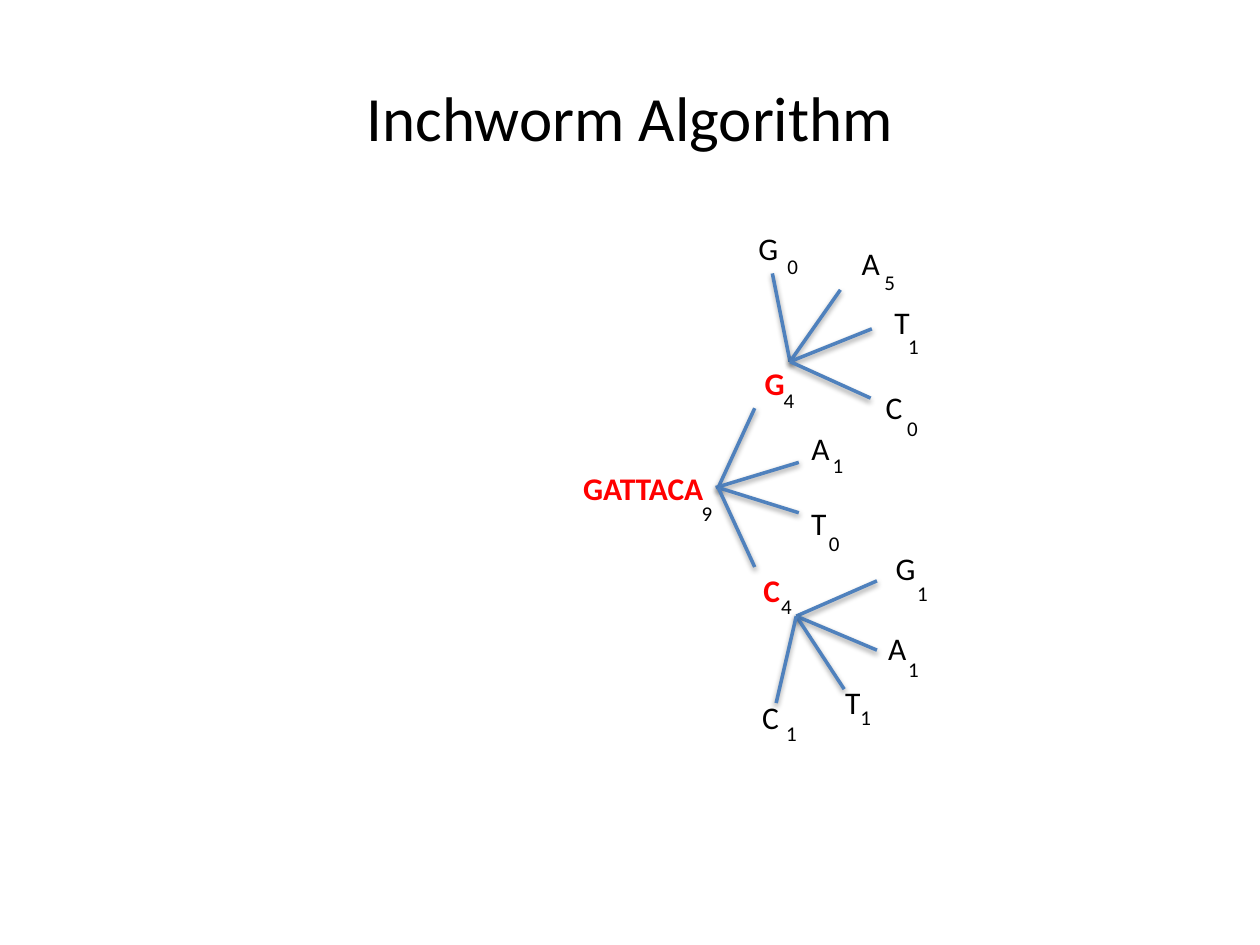
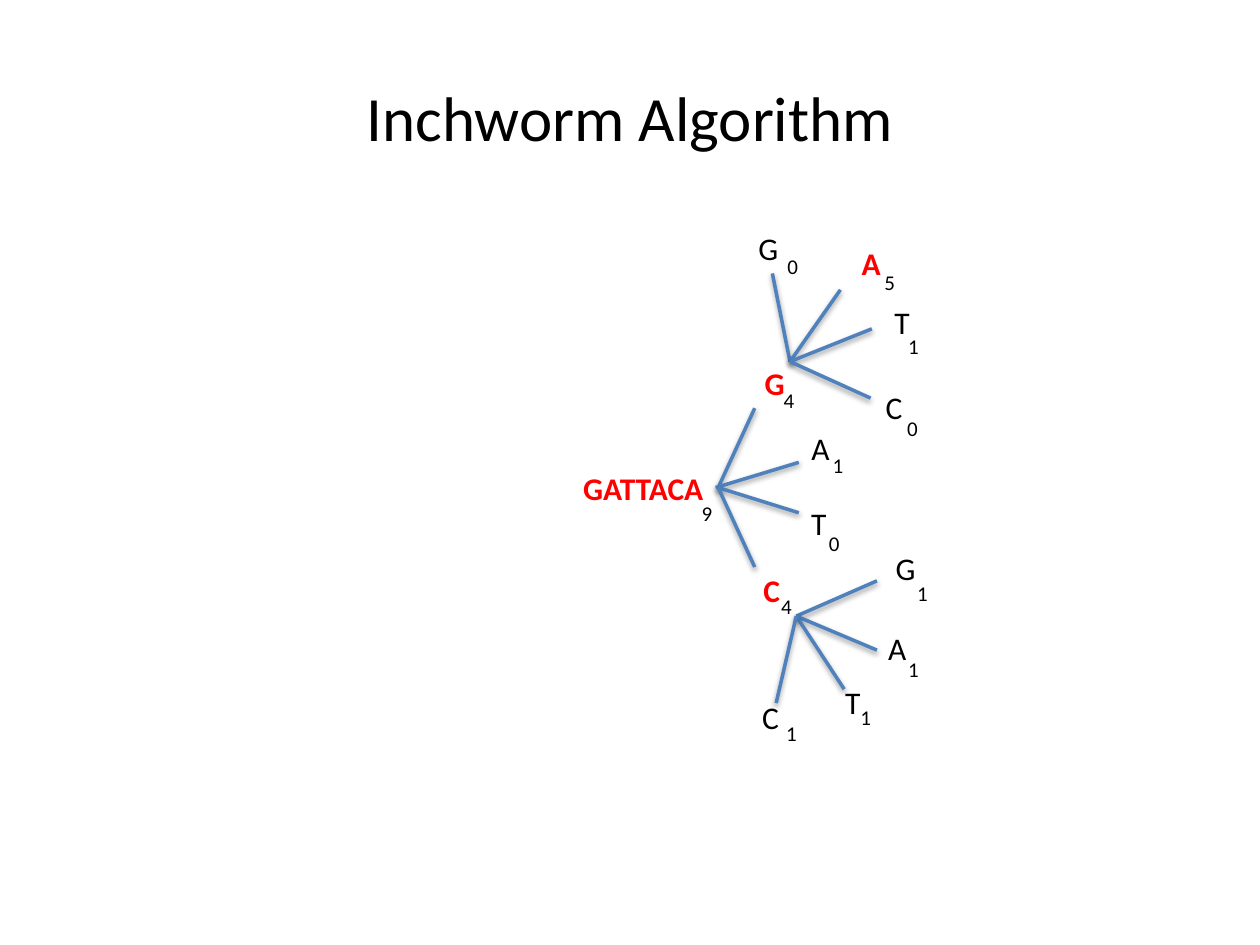
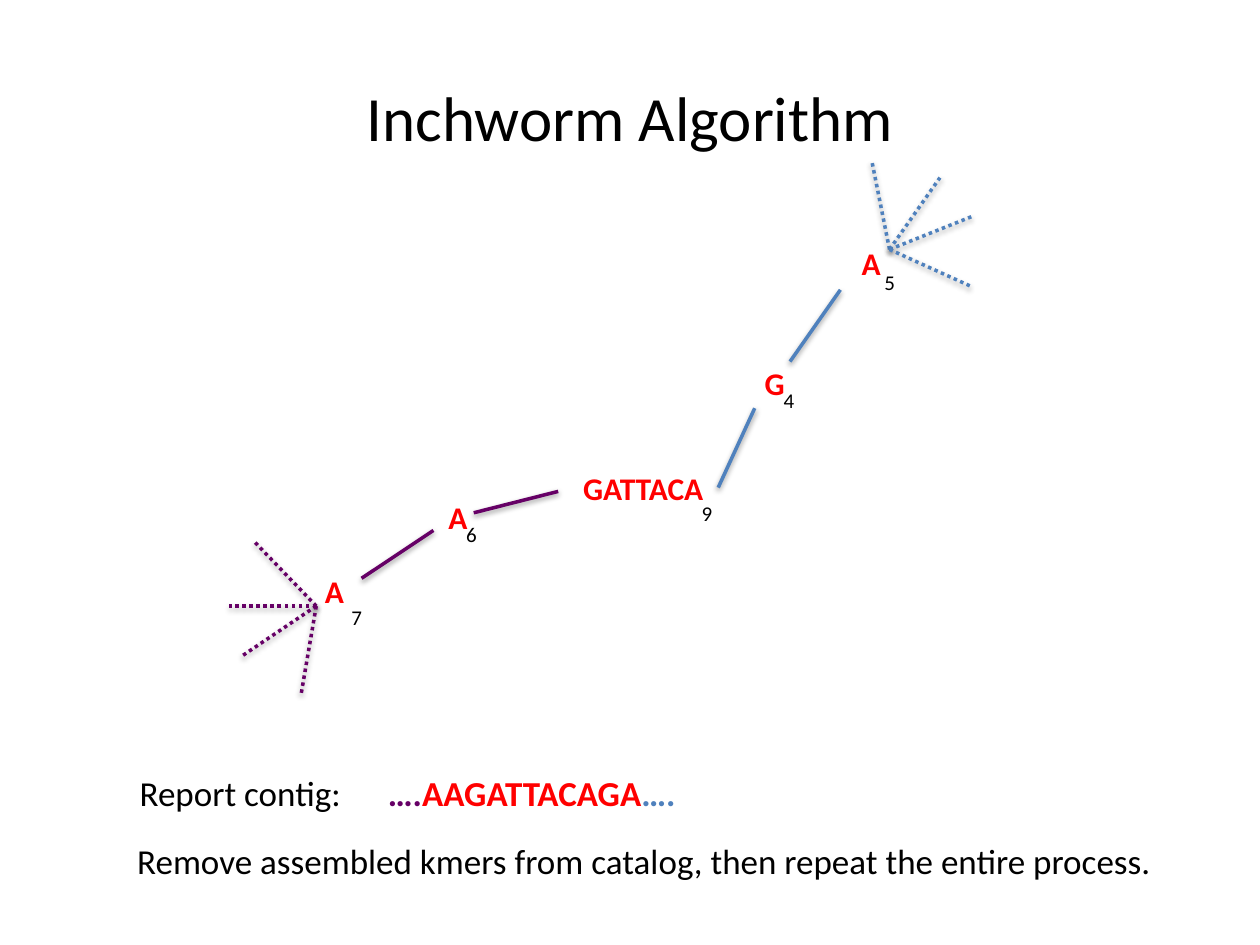
from typing import NamedTuple

from lxml.etree import SubElement
from pptx import Presentation
from pptx.dml.color import RGBColor
from pptx.enum.dml import MSO_LINE
from pptx.enum.shapes import MSO_CONNECTOR
from pptx.enum.text import MSO_ANCHOR, MSO_AUTO_SIZE, PP_ALIGN
from pptx.oxml.ns import qn
from pptx.util import Emu, Inches, Pt

COLORS = {"text": "000000", "path": "FF0000", "right": "4F81BD", "left": "660066"}
FONT = "Calibri"
LETTER_WIDTHS = {"G": 0.36, "A": 0.35, "T": 0.33, "C": 0.34, "GATTACA": 1.17}
WRAPPED_WIDTH = 0.4


class Point(NamedTuple):
    x: float
    y: float


class Kmer(NamedTuple):
    """Letters with their place, and their count with its place."""
    letters: str
    at: Point
    count: int
    count_at: Point
    chosen: bool = False
    wrapped: bool = False


class Branch(NamedTuple):
    start: Point
    end: Point
    color: str = "right"
    dotted: bool = False


class Run(NamedTuple):
    text: str
    color: str = "text"
    bold: bool = False


def fan(hub: Point, tips: list[Point], color: str = "right",
        dotted: bool = False) -> list[Branch]:
    return [Branch(hub, tip, color, dotted) for tip in tips]


def shifted(point: Point, dx: float, dy: float) -> Point:
    return Point(point.x + dx, point.y + dy)


# Path through the right-hand tree
SEED = Kmer("GATTACA", Point(4.53, 3.67), 9, Point(5.47, 3.92), chosen=True)
FIRST_G = Kmer("G", Point(5.97, 2.84), 4, Point(6.12, 3.03), chosen=True)
BEST_A = Kmer("A", Point(6.74, 1.89), 5, Point(6.92, 2.09))
CHOSEN_A = BEST_A._replace(chosen=True)

# Other candidates of the right-hand tree
CANDIDATES = [
    Kmer("A", Point(6.34, 3.36), 1, Point(6.51, 3.54)),
    Kmer("T", Point(6.34, 3.95), 0, Point(6.48, 4.16)),
    Kmer("C", Point(5.96, 4.48), 4, Point(6.1, 4.66), chosen=True),
    Kmer("G", Point(5.92, 1.77), 0, Point(6.15, 1.96)),
    Kmer("T", Point(7, 2.36), 1, Point(7.11, 2.6), wrapped=True),
    Kmer("C", Point(6.93, 3.03), 0, Point(7.1, 3.25)),
    Kmer("G", Point(7.01, 4.31), 1, Point(7.18, 4.56)),
    Kmer("A", Point(6.95, 4.94), 1, Point(7.11, 5.16)),
    Kmer("T", Point(6.61, 5.37), 1, Point(6.73, 5.54), wrapped=True),
    Kmer("C", Point(5.95, 5.49), 1, Point(6.14, 5.67)),
]

# Branches of the right-hand tree
SEED_HUB, G_HUB, C_HUB = Point(5.7, 3.87), Point(6.27, 2.87), Point(6.32, 4.89)
G_TIPS = [Point(6.13, 2.17), Point(6.67, 2.3), Point(6.92, 2.61), Point(6.91, 3.16)]
C_TIPS = [Point(6.96, 4.61), Point(6.96, 5.16), Point(6.7, 5.47), Point(6.16, 5.58)]
SEED_TO_G = Branch(SEED_HUB, Point(5.99, 3.24))
G_TO_A = Branch(G_HUB, G_TIPS[1])
TREE = [
    SEED_TO_G,
    Branch(Point(5.68, 3.87), Point(6.34, 3.67)),
    *fan(SEED_HUB, [Point(6.34, 4.07), Point(5.99, 4.5)]),
    *fan(C_HUB, C_TIPS),
    *fan(G_HUB, G_TIPS),
]

# Contig extended both ways, with open ends dotted
NEXT_SHIFT = (0.79, -0.89)
LEFT_HUB = Point(2.51, 4.81)
LEFT_TIPS = [Point(2.02, 4.3), Point(1.82, 4.81), Point(1.93, 5.2), Point(2.39, 5.51)]
LEFT_KMERS = [
    Kmer("A", Point(3.46, 3.9), 6, Point(3.6, 4.09), chosen=True),
    Kmer("A", Point(2.48, 4.49), 7, Point(2.69, 4.75), chosen=True),
]
CONTIG_BRANCHES = [
    SEED_TO_G,
    G_TO_A,
    *fan(shifted(G_HUB, *NEXT_SHIFT),
         [shifted(tip, *NEXT_SHIFT) for tip in G_TIPS], dotted=True),
    Branch(Point(4.43, 3.9), Point(3.76, 4.07), "left"),
    Branch(Point(3.44, 4.21), Point(2.87, 4.59), "left"),
    *fan(LEFT_HUB, LEFT_TIPS, "left", dotted=True),
]


def add_text(slide, runs: list[Run], at: Point, width: float, height: float, *,
             size: float, wrap: bool = False, centered: bool = False,
             tab: float | None = None) -> None:
    box = slide.shapes.add_textbox(
        Inches(at.x), Inches(at.y), Inches(width), Inches(height))
    frame = box.text_frame
    frame.word_wrap = wrap
    frame.auto_size = MSO_AUTO_SIZE.NONE if centered else MSO_AUTO_SIZE.SHAPE_TO_FIT_TEXT
    paragraph = frame.paragraphs[0]
    if centered:
        frame.vertical_anchor = MSO_ANCHOR.MIDDLE
        paragraph.alignment = PP_ALIGN.CENTER
    if tab is not None:
        stops = SubElement(paragraph._p.get_or_add_pPr(), qn("a:tabLst"))
        SubElement(stops, qn("a:tab"), pos=str(Inches(tab)), algn="l")
    for part in runs:
        run = paragraph.add_run()
        run.text = part.text
        run.font.name = FONT
        run.font.size = Pt(size)
        run.font.bold = part.bold
        run.font.color.rgb = RGBColor.from_string(COLORS[part.color])


def add_branch(slide, branch: Branch) -> None:
    line = slide.shapes.add_connector(
        MSO_CONNECTOR.STRAIGHT,
        *(Inches(value) for value in (*branch.start, *branch.end)))
    line.line.width = Pt(2)
    line.line.color.rgb = RGBColor.from_string(COLORS[branch.color])
    if branch.dotted:
        line.line.dash_style = MSO_LINE.ROUND_DOT
    # Soft shadow straight below the line
    effects = SubElement(line._element.spPr, qn("a:effectLst"))
    shadow = SubElement(effects, qn("a:outerShdw"), blurRad=str(Emu(40000)),
                        dist=str(Emu(20000)), dir="5400000", rotWithShape="0")
    shade = SubElement(shadow, qn("a:srgbClr"), val=COLORS["text"])
    SubElement(shade, qn("a:alpha"), val="38000")


def add_kmer(slide, kmer: Kmer) -> None:
    width = WRAPPED_WIDTH if kmer.wrapped else LETTER_WIDTHS[kmer.letters]
    color = "path" if kmer.chosen else "text"
    add_text(slide, [Run(kmer.letters, color, kmer.chosen)], kmer.at, width, 0.4,
             size=18, wrap=kmer.wrapped)
    add_text(slide, [Run(str(kmer.count))], kmer.count_at, 0.29, 0.3, size=12)


def add_graph_slide(deck, branches: list[Branch], kmers: list[Kmer]):
    slide = deck.slides.add_slide(deck.slide_layouts[6])
    for branch in branches:
        add_branch(slide, branch)
    for kmer in kmers:
        add_kmer(slide, kmer)
    add_text(slide, [Run("Inchworm Algorithm")], Point(0.5, 0.3), 9, 1.25,
             size=36, wrap=True, centered=True)
    return slide


def main() -> None:
    deck = Presentation()
    deck.slide_width, deck.slide_height = Inches(10), Inches(7.5)

    # Candidates, then the best extension chosen
    for best in (BEST_A, CHOSEN_A):
        add_graph_slide(deck, TREE, [SEED, FIRST_G, best, *CANDIDATES])

    # Reported contig
    report = add_graph_slide(deck, CONTIG_BRANCHES,
                             [SEED, FIRST_G, CHOSEN_A, *LEFT_KMERS])
    add_text(report,
             [Run("Remove assembled kmers from catalog, then repeat the entire process.")],
             Point(0.99, 6.61), 8.31, 0.44, size=20)
    add_text(report,
             [Run("Report contig:\t"), Run("….", "left", True),
              Run("AAGATTACAGA", "path", True), Run("….", "right", True)],
             Point(1.01, 6.07), 4.5, 0.44, size=20, tab=1.97)

    deck.save("out.pptx")


if __name__ == "__main__":
    main()
